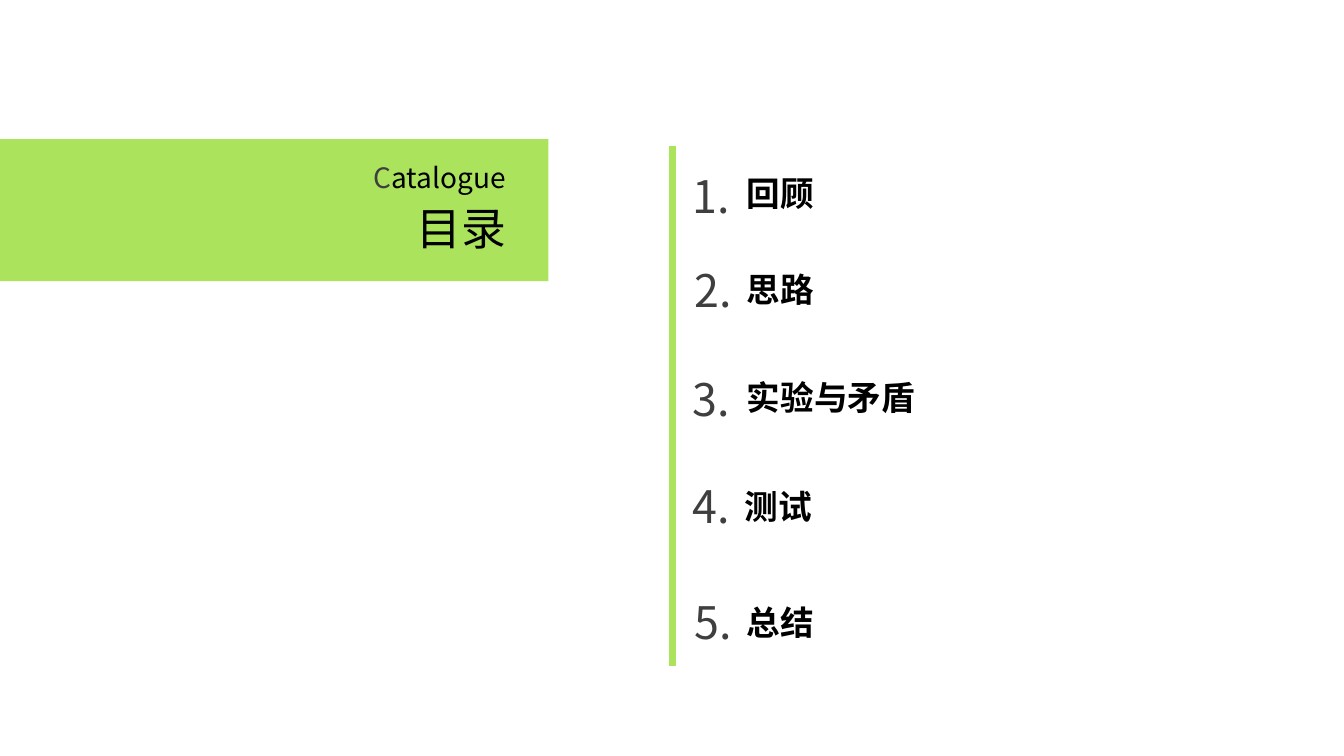
from dataclasses import dataclass

from lxml import etree
from pptx import Presentation
from pptx.dml.color import RGBColor
from pptx.enum.shapes import MSO_CONNECTOR, MSO_SHAPE
from pptx.enum.text import MSO_ANCHOR, MSO_AUTO_SIZE, PP_ALIGN
from pptx.oxml.ns import qn
from pptx.util import Pt

RECT = MSO_SHAPE.RECTANGLE
STRAIGHT = MSO_CONNECTOR.STRAIGHT
TOP, MIDDLE = MSO_ANCHOR.TOP, MSO_ANCHOR.MIDDLE
GROW = MSO_AUTO_SIZE.SHAPE_TO_FIT_TEXT
LEFT, RIGHT = PP_ALIGN.LEFT, PP_ALIGN.RIGHT


@dataclass(frozen=True)
class Theme:
    face: str = "Noto Sans CJK JP"
    green: RGBColor = RGBColor(0xAB, 0xE3, 0x5D)
    gray: RGBColor = RGBColor(0x3F, 0x3F, 0x3F)
    black: RGBColor = RGBColor(0, 0, 0)
    small: int = 20
    label: int = 24
    large: int = 32


class Deck:
    def __init__(self, theme, slide):
        self.theme = theme
        self.slide = slide

    def band(self, x, y, w, h):
        shape = self.slide.shapes.add_shape(RECT, Pt(x), Pt(y), Pt(w), Pt(h))
        shape.shadow.inherit = False
        shape.fill.solid()
        shape.fill.fore_color.rgb = self.theme.green
        shape.line.fill.background()

    def rule(self, x, top, end, width):
        line = self.slide.shapes.add_connector(STRAIGHT, Pt(x), Pt(top), Pt(x), Pt(end))
        line.line.color.rgb = self.theme.green
        line.line.width = Pt(width)
        etree.SubElement(line._element.spPr, qn("a:effectLst"))

    def text(self, x, y, w, h, parts, size, align=LEFT, anchor=MIDDLE, bold=False):
        frame = self.slide.shapes.add_textbox(Pt(x), Pt(y), Pt(w), Pt(h)).text_frame
        frame.margin_left = frame.margin_right = 0
        frame.margin_top = frame.margin_bottom = 0
        frame.word_wrap = True
        frame.auto_size = GROW
        frame.vertical_anchor = anchor
        para = frame.paragraphs[0]
        para.alignment = align
        font = para.font
        font.size = Pt(size)
        font.bold = bold
        font.name = self.theme.face
        for words, color in parts:
            run = para.add_run()
            run.text = words
            if len(parts) > 1:
                run.font.color.rgb = color
            else:
                font.color.rgb = color
        for latin in para._p.iter(qn("a:latin")):
            east = etree.Element(qn("a:ea"), typeface=self.theme.face)
            latin.addnext(east)


def main():
    show = Presentation()
    show.slide_width, show.slide_height = Pt(960), Pt(540)
    theme = Theme()
    deck = Deck(theme, show.slides.add_slide(show.slide_layouts[6]))

    deck.band(0, 99.4, 391.7, 101.5)
    deck.text(200.9, 114.5, 160.5, 24.5,
              [("C", theme.gray), ("atalogue", theme.black)], theme.small, RIGHT)
    deck.text(249.8, 143.3, 111.6, 38.9, [("目录", theme.black)], theme.large, RIGHT)
    deck.rule(480.2, 104.4, 475.9, 5)

    topics = [
        ("回顾", 494.6, 120.2, 533.5, 123.8, 156.2),
        ("思路", 496.1, 187.2, 533.5, 192.2, 286.6),
        ("实验与矛盾", 494.6, 265, 533.5, 269.3, 272.2),
        ("测试", 494.6, 342, 532.1, 347, 259.2),
        ("总结", 496.1, 424.8, 533.5, 429.8, 259.2),
    ]
    for rank, (name, num_x, num_y, x, y, width) in enumerate(topics, 1):
        deck.text(num_x, num_y, 30.2, 38.9, [(f"{rank}.", theme.gray)], theme.large)
        deck.text(x, y, width, 28.8, [(name, theme.black)], theme.label,
                  anchor=TOP, bold=True)

    show.save("out.pptx")


if __name__ == "__main__":
    main()
